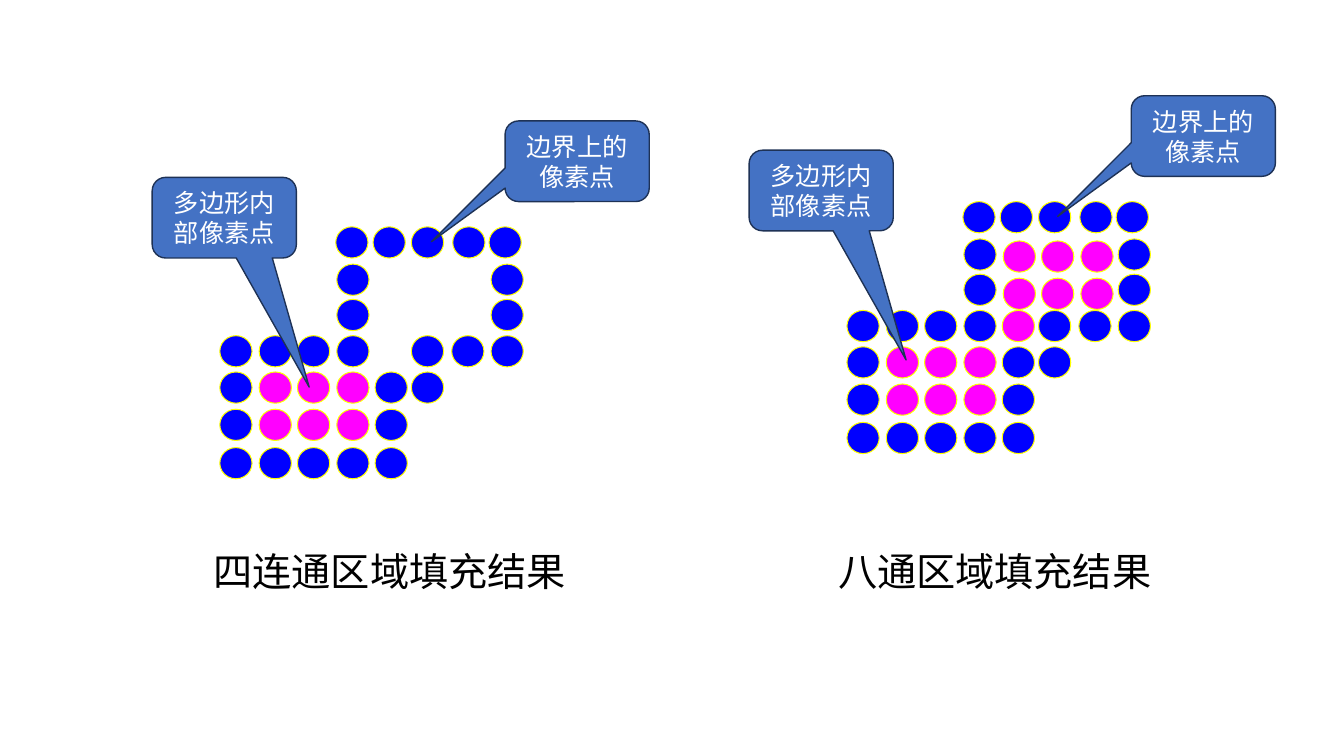
from lxml.etree import SubElement
from pptx import Presentation
from pptx.dml.color import RGBColor
from pptx.enum.shapes import MSO_SHAPE
from pptx.enum.text import MSO_ANCHOR, MSO_AUTO_SIZE, PP_ALIGN
from pptx.oxml.ns import qn
from pptx.util import Inches, Pt

FONT = "Noto Sans CJK SC"
BLUE = RGBColor(0x00, 0x00, 0xFF)
MAGENTA = RGBColor(0xFF, 0x00, 0xFF)
YELLOW = RGBColor(0xFF, 0xFF, 0x00)
CALLOUT_FILL = RGBColor(0x44, 0x72, 0xC4)
CALLOUT_LINE = RGBColor(0x1E, 0x32, 0x56)
WHITE = RGBColor(0xFF, 0xFF, 0xFF)
BLACK = RGBColor(0x00, 0x00, 0x00)

PIXEL_COLOURS = {"B": BLUE, "P": MAGENTA}
INSIDE_TAIL = (0.589, 2.101, 0.167)
BORDER_TAIL = (-1.011, 0.998, 0.167)

# Column offsets in inches from the left edge of a region
COLUMNS = (0, 0.39, 0.77, 1.16, 1.54, 1.9, 2.3, 2.69)
TOP_COLUMNS = (0, 0.39, 0.77, 1.15, 1.52, 1.9, 2.31, 2.67)
UPPER_COLUMNS = (1.55, 1.93, 2.32)

# Row offset, column offsets, pixels: B on the border, P filled, . empty
REGION_ROWS = (
    (0, TOP_COLUMNS, "...BBBBB"),
    (0.37, COLUMNS, "...B...B"),
    (0.72, COLUMNS, "...B...B"),
    (1.08, COLUMNS, "BBBB.BBB"),
    (1.44, COLUMNS, "BPPPBB"),
    (1.81, COLUMNS, "BPPPB"),
    (2.19, COLUMNS, "BBBBB"),
)
UPPER_FILL_ROWS = (
    (0.39, UPPER_COLUMNS, "PPP"),
    (0.76, UPPER_COLUMNS, "PPP"),
    (1.08, COLUMNS, "....P"),
)


def set_text(tf, text, size, colour):
    tf.word_wrap = True
    p = tf.paragraphs[0]
    p.text = text
    p.alignment = PP_ALIGN.CENTER
    p.font.size = Pt(size)
    p.font.color.rgb = colour
    p.font.name = FONT
    defaults = p._p.pPr.find(qn("a:defRPr"))
    SubElement(defaults, qn("a:ea")).set("typeface", FONT)


def style_shape(sp, fill, line, width):
    sp.shadow.inherit = False
    sp.fill.solid()
    sp.fill.fore_color.rgb = fill
    sp.line.color.rgb = line
    sp.line.width = Pt(width)


def add_region(s, left, top, rows):
    """Draw rows of pixels as one group of circles."""
    group = s.shapes.add_group_shape()
    for y, columns, pixels in rows:
        for x, pixel in zip(columns, pixels):
            if pixel in PIXEL_COLOURS:
                sp = group.shapes.add_shape(
                    MSO_SHAPE.OVAL, Inches(left + x), Inches(top + y),
                    Inches(0.32), Inches(0.31))
                style_shape(sp, PIXEL_COLOURS[pixel], YELLOW, 0.75)


def add_callout(s, left, top, text, tail):
    sp = s.shapes.add_shape(
        MSO_SHAPE.ROUNDED_RECTANGULAR_CALLOUT, Inches(left), Inches(top),
        Inches(1.43), Inches(0.8))
    for i, value in enumerate(tail):
        sp.adjustments[i] = value
    style_shape(sp, CALLOUT_FILL, CALLOUT_LINE, 1)
    sp.text_frame.vertical_anchor = MSO_ANCHOR.MIDDLE
    set_text(sp.text_frame, text, 18, WHITE)


def add_caption(s, left, text):
    tf = s.shapes.add_textbox(
        Inches(left), Inches(5.38), Inches(4.09), Inches(0.57)).text_frame
    set_text(tf, text, 28, BLACK)
    tf.auto_size = MSO_AUTO_SIZE.SHAPE_TO_FIT_TEXT


def add_result(s, region_at, rows, inside_at, border_at, caption_left, caption):
    add_region(s, *region_at, rows)
    add_callout(s, *inside_at, "多边形内部像素点", INSIDE_TAIL)
    add_callout(s, *border_at, "边界上的像素点", BORDER_TAIL)
    add_caption(s, caption_left, caption)


def main():
    prs = Presentation()
    prs.slide_width = Inches(13.33)
    prs.slide_height = Inches(7.5)
    s = prs.slides.add_slide(prs.slide_layouts[6])
    add_result(s, (2.18, 2.25), REGION_ROWS, (1.51, 1.76), (5.01, 1.2),
               1.82, "四连通区域填充结果")
    add_result(s, (8.4, 2), REGION_ROWS + UPPER_FILL_ROWS, (7.43, 1.49),
               (11.22, 0.95), 7.82, "八通区域填充结果")
    prs.save("out.pptx")


if __name__ == "__main__":
    main()
